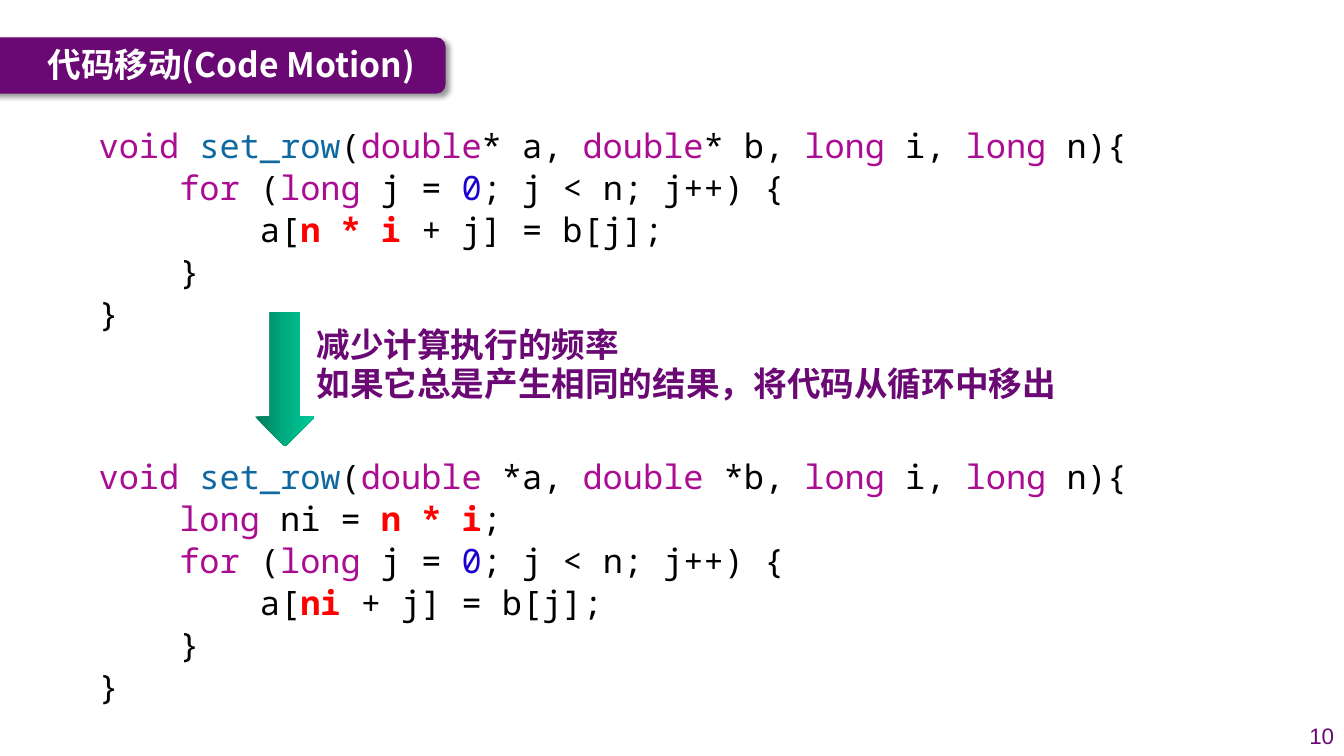
from copy import deepcopy
from dataclasses import dataclass
from typing import NamedTuple

from lxml.etree import SubElement
from pptx import Presentation
from pptx.dml.color import RGBColor
from pptx.enum.shapes import MSO_SHAPE
from pptx.enum.text import MSO_ANCHOR, PP_ALIGN
from pptx.oxml import parse_xml
from pptx.oxml.ns import nsdecls, qn
from pptx.util import Inches, Pt


@dataclass(frozen=True)
class Theme:
    purple: str = "6A0874"
    white: str = "FFFFFF"
    plain: str = "000000"
    keyword: str = "AA0D91"
    function: str = "0F68A0"
    literal: str = "1C00CF"
    moved: str = "FF0000"
    arrow: tuple = ((0, "00795B"), (0.5, "00AC81"), (1, "00CC99"))
    body_size: int = 24
    number_size: int = 16
    body_font: str = "Arial"
    cjk_font: str = "Noto Sans CJK SC"
    code_font: str = "Noto Sans Mono"


class Box(NamedTuple):
    left: float
    top: float
    width: float
    height: float

    def place(self):
        return (round(self.left * COLUMN), round(self.top * ROW),
                round(self.width * COLUMN), round(self.height * ROW))


THEME = Theme()
SLIDE_WIDTH, SLIDE_HEIGHT = Inches(13.33), Inches(7.5)
COLUMN, ROW = SLIDE_WIDTH / 100, SLIDE_HEIGHT / 100

TOKEN_COLORS = {
    **dict.fromkeys(("void", "double", "long", "for"), THEME.keyword),
    "set_row": THEME.function,
    "0": THEME.literal,
    **dict.fromkeys(("n * i", "ni"), THEME.moved),
}
LOOP = "    |for| (|long| j = |0|; j < n; j++) {"
CLOSING = ("    }", "}")
BEFORE = (
    "void| |set_row|(|double|* a, |double|* b, |long| i, |long| n){",
    LOOP,
    "        a[|n * i| + j] = b[j];",
    *CLOSING,
)
AFTER = (
    "void| |set_row|(|double| *a, |double| *b, |long| i, |long| n){",
    "    |long| ni = |n * i|;",
    LOOP,
    "        a[|ni| + j] = b[j];",
    *CLOSING,
)
ADVICE = ("减少计算执行的频率", "如果它总是产生相同的结果，将代码从循环中移出")


def set_font(font, name, color, size=THEME.body_size, bold=False):
    font.name = name
    font.size = Pt(size)
    font.bold = bold
    font.color.rgb = RGBColor.from_string(color)


def add_text_frame(slide, box):
    frame = slide.shapes.add_textbox(*box.place()).text_frame
    frame.word_wrap = True
    return frame


def add_line(frame, index):
    return frame.add_paragraph() if index else frame.paragraphs[0]


def add_cjk_run(paragraph, text):
    run = paragraph.add_run()
    run.text = text
    SubElement(run._r.get_or_add_rPr(), qn("a:ea"), typeface=THEME.cjk_font)


def add_header(slide, box, text):
    bleed = 5.85
    banner_box = Box(box.left - bleed, box.top, box.width + bleed, box.height)
    banner = slide.shapes.add_shape(MSO_SHAPE.ROUNDED_RECTANGLE, *banner_box.place())
    banner.fill.solid()
    banner.fill.fore_color.rgb = RGBColor.from_string(THEME.purple)
    banner.line.fill.background()
    banner._element.spPr.append(parse_xml(
        f'<a:effectLst {nsdecls("a")}><a:outerShdw blurRad="{Pt(4)}" dist="{Pt(3)}" '
        f'dir="2700000" algn="tl" rotWithShape="0"><a:srgbClr val="{THEME.plain}">'
        '<a:alpha val="40000"/></a:srgbClr></a:outerShdw></a:effectLst>'))

    title = slide.shapes.title
    slide.shapes._spTree.insert(2, banner._element)
    title.left, title.top, title.width, title.height = Box(
        box.left + 2.78, box.top - 0.13, box.width - 0.7, box.height - 0.13).place()
    title.text_frame.vertical_anchor = MSO_ANCHOR.MIDDLE
    title.text_frame.word_wrap = True
    paragraph = title.text_frame.paragraphs[0]
    add_cjk_run(paragraph, text)
    paragraph.alignment = PP_ALIGN.LEFT
    set_font(paragraph.font, THEME.cjk_font, THEME.white, bold=True)


def add_code(slide, box, lines):
    frame = add_text_frame(slide, box)
    for index, line in enumerate(lines):
        paragraph = add_line(frame, index)
        if index:
            paragraph.space_before = Pt(1.2)
        set_font(paragraph.font, THEME.code_font, THEME.plain)
        for token in line.split("|"):
            run = paragraph.add_run()
            run.text = token
            color = TOKEN_COLORS.get(token, THEME.plain)
            set_font(run.font, THEME.code_font, color, bold=color == THEME.moved)


def add_motion_step(slide, box, advice):
    arrow = slide.shapes.add_shape(
        MSO_SHAPE.DOWN_ARROW, *box._replace(width=4.43).place())
    arrow.shadow.inherit = False
    arrow.line.fill.background()
    arrow.fill.gradient()
    arrow.fill.gradient_angle = 0
    stop_list = arrow._element.spPr.find(qn("a:gradFill")).find(qn("a:gsLst"))
    stop_list.insert(1, deepcopy(stop_list[0]))
    for stop, (position, color) in zip(arrow.fill.gradient_stops, THEME.arrow):
        stop.position = position
        stop.color.rgb = RGBColor.from_string(color)

    frame = add_text_frame(slide, Box(
        box.left + 3.83, box.top + 1.2, box.width - 3.83, box.height - 4.53))
    for index, line in enumerate(advice):
        paragraph = add_line(frame, index)
        add_cjk_run(paragraph, line)
        paragraph.line_spacing = 0.97
        set_font(paragraph.font, THEME.body_font, THEME.purple, bold=True)


def add_page_number(slide, box, number):
    frame = add_text_frame(slide, box)
    frame.vertical_anchor = MSO_ANCHOR.MIDDLE
    paragraph = frame.paragraphs[0]
    paragraph.text = number
    paragraph.alignment = PP_ALIGN.RIGHT
    set_font(paragraph.font, THEME.body_font, THEME.purple, THEME.number_size)


def main():
    deck = Presentation()
    deck.slide_width, deck.slide_height = SLIDE_WIDTH, SLIDE_HEIGHT
    slide = deck.slides.add_slide(deck.slide_layouts.get_by_name("Title Only"))
    add_header(slide, Box(0, 4.93, 33.16, 7.47), "代码移动(Code Motion)")
    add_code(slide, Box(6.6, 15.87, 82.45, 32.53), BEFORE)
    add_code(slide, Box(6.6, 59.6, 82.45, 39.07), AFTER)
    add_motion_step(slide, Box(18.98, 41.33, 60.84, 17.73), ADVICE)
    add_page_number(slide, Box(95.95, 94.67, 4.05, 5.33), "10")
    deck.save("out.pptx")


if __name__ == "__main__":
    main()
